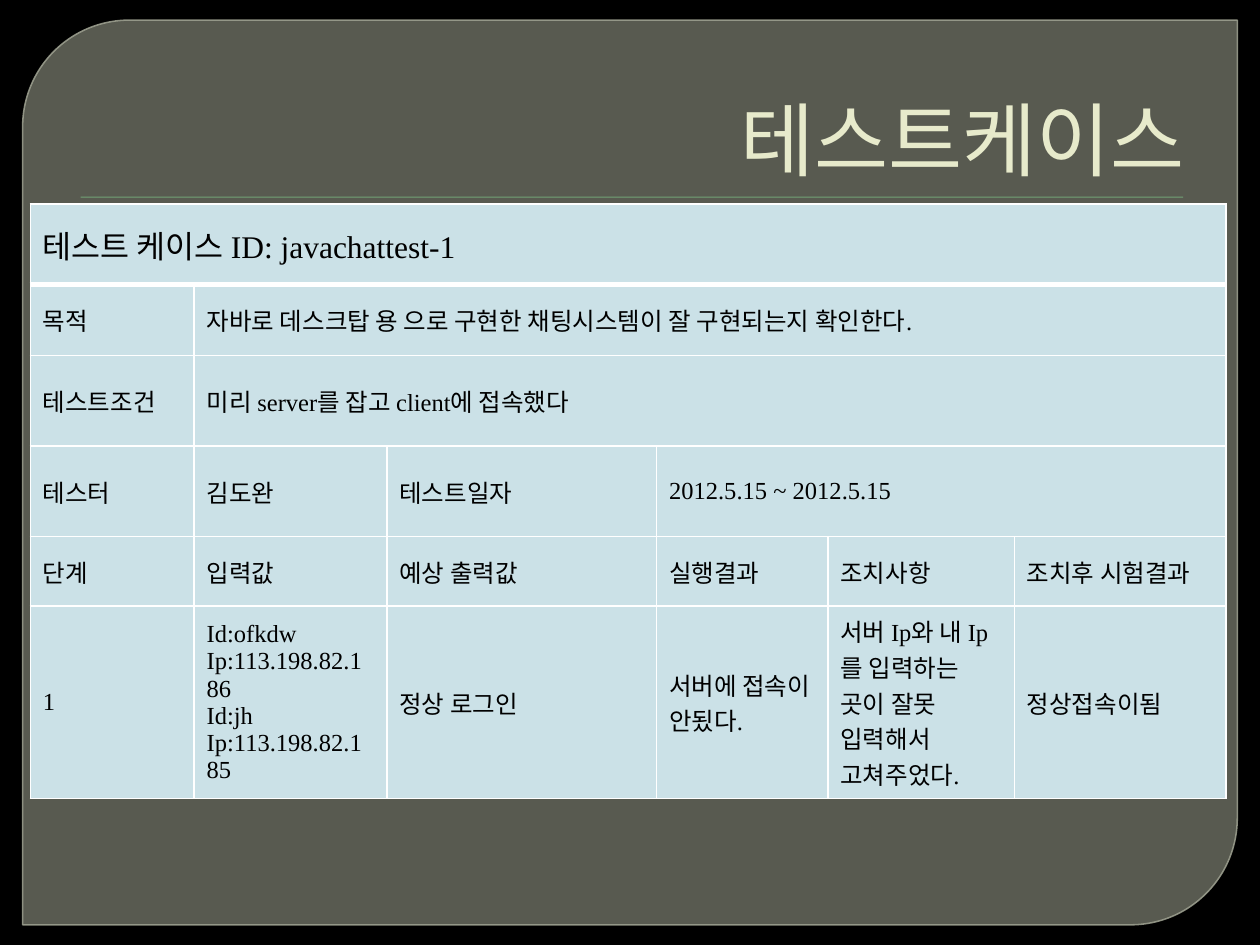
from dataclasses import dataclass

from lxml import etree
from pptx import Presentation
from pptx.dml.color import RGBColor
from pptx.enum.shapes import MSO_SHAPE
from pptx.enum.text import MSO_ANCHOR, PP_ALIGN
from pptx.oxml.ns import qn
from pptx.util import Pt

PANEL_SHAPE = MSO_SHAPE.ROUND_2_DIAG_RECTANGLE
RULE_SHAPE = MSO_SHAPE.RECTANGLE
MIDDLE = MSO_ANCHOR.MIDDLE
BOTTOM = MSO_ANCHOR.BOTTOM
RIGHT = PP_ALIGN.RIGHT

COLORS = {
    "background": "000000",
    "panel": "888B7B",
    "panel_edge": "9DA090",
    "rule": "72A376",
    "title": "E7EACB",
    "cell": "CBE1E7",
    "border": "FFFFFF",
    "text": "000000",
}
COLUMN_WIDTHS = (93.6, 110.16, 154.08, 97.92, 106.56, 120.96)
ROW_HEIGHTS = (46.08, 40.32, 51.84, 51.84, 39.6, 110.16)


@dataclass(frozen=True)
class Entry:
    row: int
    column: int
    text: str
    span: int = 1
    size: float = 14


ENTRIES = (
    Entry(0, 0, "테스트 케이스 ID: javachattest-1", span=6, size=18),
    Entry(1, 0, "목적"),
    Entry(1, 1, "자바로 데스크탑 용 으로 구현한 채팅시스템이 잘 구현되는지 확인한다.", span=5),
    Entry(2, 0, "테스트조건"),
    Entry(2, 1, "미리 server를 잡고 client에 접속했다", span=5),
    Entry(3, 0, "테스터"),
    Entry(3, 1, "김도완"),
    Entry(3, 2, "테스트일자"),
    Entry(3, 3, "2012.5.15 ~ 2012.5.15", span=3),
    Entry(4, 0, "단계"),
    Entry(4, 1, "입력값"),
    Entry(4, 2, "예상 출력값"),
    Entry(4, 3, "실행결과"),
    Entry(4, 4, "조치사항"),
    Entry(4, 5, "조치후 시험결과"),
    Entry(5, 0, "1"),
    Entry(5, 1, "Id:ofkdw\nIp:113.198.82.186\nId:jh\nIp:113.198.82.185"),
    Entry(5, 2, "정상 로그인"),
    Entry(5, 3, "서버에 접속이 안됬다."),
    Entry(5, 4, "서버 Ip와 내 Ip를 입력하는 곳이 잘못 입력해서 고쳐주었다."),
    Entry(5, 5, "정상접속이됨"),
)


def rgb(name: str) -> RGBColor:
    return RGBColor.from_string(COLORS[name])


def set_alpha(color_format, percent: int) -> None:
    """Make a solid fill or line partly transparent."""
    color = color_format._xFill.find(qn("a:srgbClr"))
    etree.SubElement(color, qn("a:alpha"), val=str(percent * 1000))


def add_panel(slide) -> None:
    panel = slide.shapes.add_shape(PANEL_SHAPE, Pt(12.96), Pt(11.52), Pt(694.08), Pt(516.96))
    panel.adjustments[0] = 0.118
    panel.adjustments[1] = 0
    panel.shadow.inherit = False
    panel.fill.solid()
    panel.fill.fore_color.rgb = rgb("panel")
    set_alpha(panel.fill.fore_color, 65)
    panel.line.color.rgb = rgb("panel_edge")
    panel.line.width = Pt(0.87)
    set_alpha(panel.line.color, 88)


def add_rule(slide) -> None:
    rule = slide.shapes.add_shape(RULE_SHAPE, Pt(46.08), Pt(112.32), Pt(630), Pt(0.72))
    rule.shadow.inherit = False
    rule.fill.solid()
    rule.fill.fore_color.rgb = rgb("rule")
    rule.line.fill.background()


def add_title(slide) -> None:
    frame = slide.shapes.add_textbox(Pt(36), Pt(20.16), Pt(648), Pt(90)).text_frame
    frame.word_wrap = True
    frame.vertical_anchor = BOTTOM
    frame.text = "테스트케이스"
    heading = frame.paragraphs[0]
    heading.alignment = RIGHT
    heading.font.size = Pt(46)
    heading.font.name = "Arial"
    heading.font.color.rgb = rgb("title")


def set_borders(cell, bottom_width: int) -> None:
    properties = cell._tc.get_or_add_tcPr()
    widths = {"lnL": 1, "lnR": 1, "lnT": 1, "lnB": bottom_width}
    for position, (side, width) in enumerate(widths.items()):
        border = etree.Element(qn(f"a:{side}"), w=str(Pt(width)))
        solid = etree.SubElement(border, qn("a:solidFill"))
        etree.SubElement(solid, qn("a:srgbClr"), val=COLORS["border"])
        properties.insert(position, border)


def fill_entry(table, entry: Entry) -> None:
    cell = table.cell(entry.row, entry.column)
    if entry.span > 1:
        cell.merge(table.cell(entry.row, entry.column + entry.span - 1))
    cell.vertical_anchor = MIDDLE
    cell.text_frame.text = entry.text
    for paragraph in cell.text_frame.paragraphs:
        paragraph.font.size = Pt(entry.size)
        paragraph.font.name = "Times New Roman"
        paragraph.font.bold = False
        paragraph.font.color.rgb = rgb("text")


def add_test_case(slide) -> None:
    table = slide.shapes.add_table(
        len(ROW_HEIGHTS), len(COLUMN_WIDTHS), Pt(17.28), Pt(116.64),
        Pt(sum(COLUMN_WIDTHS)), Pt(sum(ROW_HEIGHTS)),
    ).table
    table.first_row = False
    table.horz_banding = False
    for column, width in zip(table.columns, COLUMN_WIDTHS):
        column.width = Pt(width)
    for index, (row, height) in enumerate(zip(table.rows, ROW_HEIGHTS)):
        row.height = Pt(height)
        for cell in row.cells:
            cell.fill.solid()
            cell.fill.fore_color.rgb = rgb("cell")
            set_borders(cell, bottom_width=3 if index == 0 else 1)
    for entry in ENTRIES:
        fill_entry(table, entry)


def main() -> None:
    presentation = Presentation()
    presentation.slide_width = Pt(720)
    presentation.slide_height = Pt(540)
    slide = presentation.slides.add_slide(presentation.slide_layouts[6])
    slide.background.fill.solid()
    slide.background.fill.fore_color.rgb = rgb("background")
    add_panel(slide)
    add_rule(slide)
    add_title(slide)
    add_test_case(slide)
    presentation.save("out.pptx")


if __name__ == "__main__":
    main()
